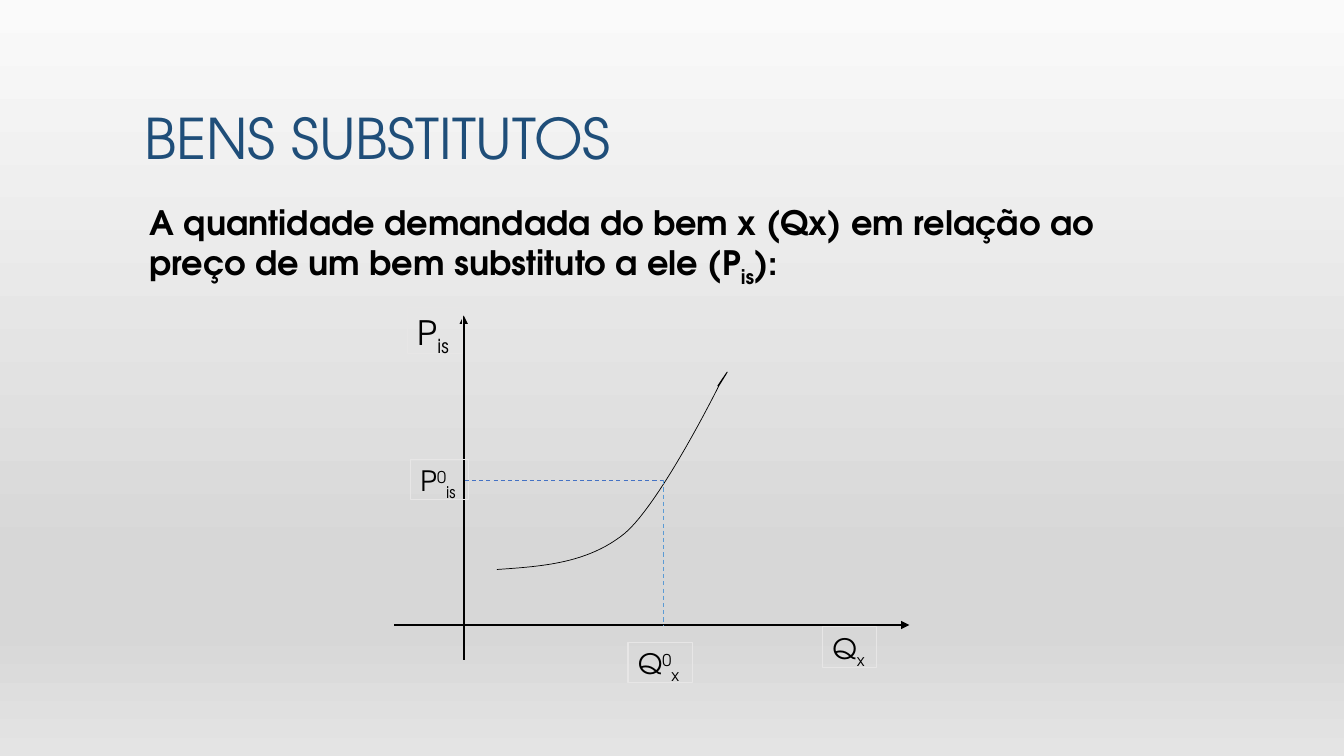
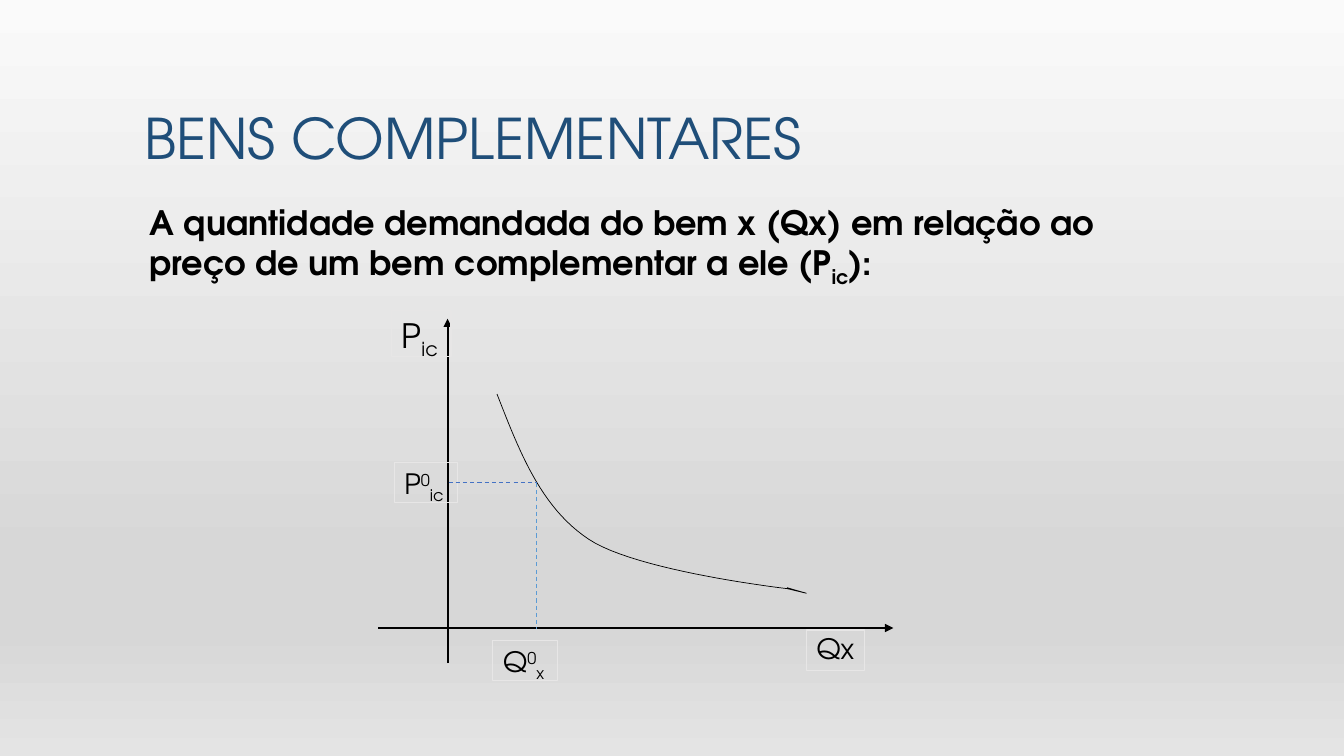
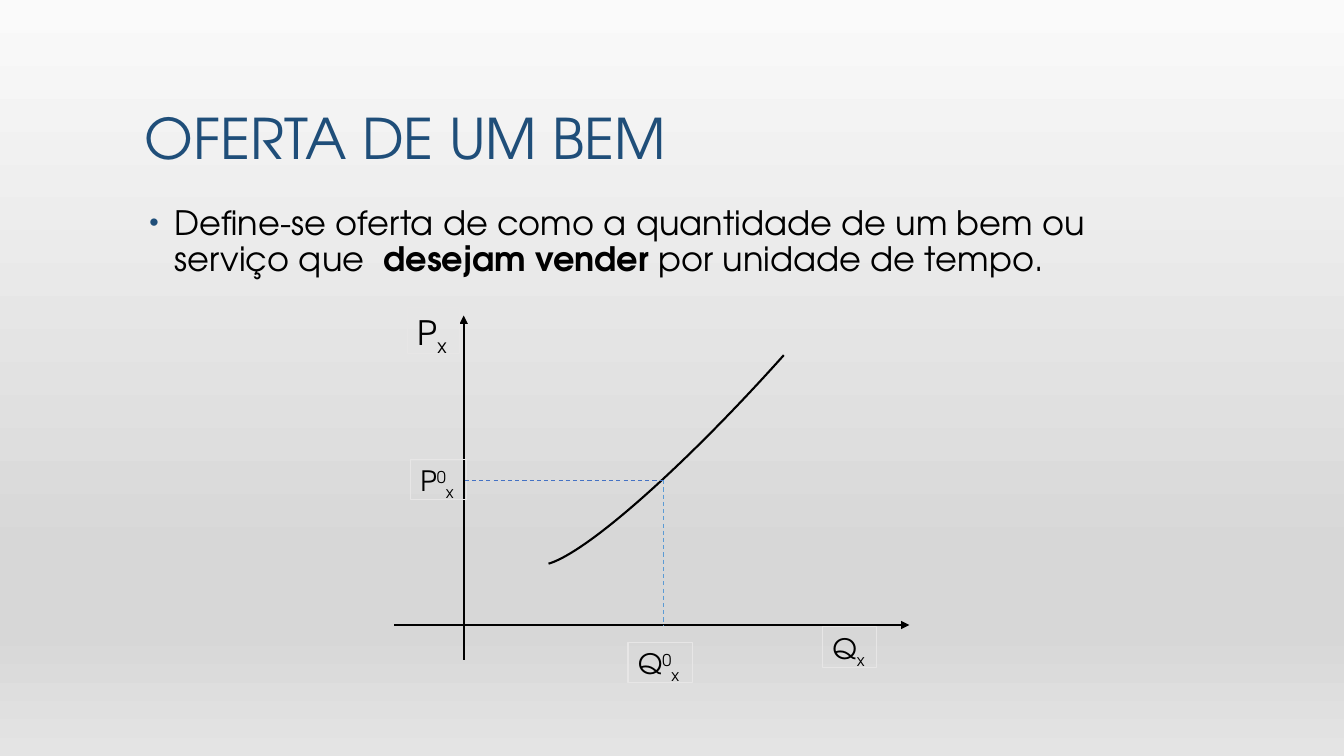
from dataclasses import dataclass
from typing import NamedTuple

from lxml.etree import SubElement
from pptx import Presentation
from pptx.dml.color import RGBColor
from pptx.enum.dml import MSO_LINE as Dash
from pptx.enum.shapes import MSO_CONNECTOR as Conn, MSO_SHAPE as Kind
from pptx.enum.text import MSO_ANCHOR as Anchor, MSO_AUTO_SIZE as Fit, PP_ALIGN as Align
from pptx.oxml.ns import qn
from pptx.util import Pt

FONT = "TeX Gyre Adventor"
INK = {
    "title": "1F4E79", "text": "000000", "frame": "E7E6E6",
    "price": "4472C4", "amount": "5B9BD5",
}
SKY = ((0, "FAFAFA"), (74, "D7D7D7"), (83, "D7D7D7"), (100, "E4E4E4"))
SUB, SUP = -25, 30
LEFT, WIDTH = 96, 768


class Bit(NamedTuple):
    """A run of text, with its baseline shift in percent."""
    text: str
    base: int = 0
    bold: bool = False


class Spot(NamedTuple):
    x: float
    y: float


class Tag(NamedTuple):
    """An axis label in a thin frame."""
    at: Spot
    width: float
    bits: list[Bit]
    size: int = 20


class Curve(NamedTuple):
    """A start and the cubic pieces (two handles, one end) that follow."""
    start: Spot
    cubics: list[tuple[Spot, Spot, Spot]]


class Arc(NamedTuple):
    at: Spot
    width: float
    height: float
    turn: float
    ends: tuple[float, float]


@dataclass
class Plot:
    zero: Spot           # where the axes cross
    mark: Spot           # the point the dashed lines lead to
    line: Curve | Arc
    sub: str             # index of the price
    wide: tuple[float, float, float]  # widths of the P, P0 and Q labels
    good: list[Bit]      # label of the quantity axis
    foot: Spot           # place of the Q0 label


@dataclass
class Page:
    title: str
    body: list[Bit]
    plot: Plot
    dot: bool = False


def ink(name: str) -> RGBColor:
    return RGBColor.from_string(INK[name])


def write(para, bits: list[Bit], size: int, hue: str = "text") -> None:
    para.line_spacing = 0.9
    for bit in bits:
        run = para.add_run()
        run.text = bit.text
        font = run.font
        font.name, font.size, font.bold = FONT, Pt(size), bit.bold
        font.color.rgb = ink(hue)
        if bit.base:
            font._element.set("baseline", str(bit.base * 1000))


def paint(master) -> None:
    """Give every slide the same grey background."""
    fill = master.background.fill
    fill.gradient()
    fill.gradient_angle = 270
    stops = master.element.find(".//" + qn("a:gsLst"))
    stops.clear()
    for pos, hue in SKY:
        stop = SubElement(stops, qn("a:gs"), pos=str(pos * 1000))
        SubElement(stop, qn("a:srgbClr"), val=hue)


def head(slide, text: str) -> None:
    title = slide.shapes.title
    title.left, title.top = Pt(LEFT), Pt(21.6)
    title.width, title.height = Pt(WIDTH), Pt(104.4)
    frame = title.text_frame
    frame.auto_size, frame.vertical_anchor = Fit.NONE, Anchor.BOTTOM
    para = frame.paragraphs[0]
    para.alignment = Align.LEFT
    write(para, [Bit(text)], 40, "title")


def lead(slide, bits: list[Bit], dot: bool) -> None:
    box = slide.shapes.add_textbox(Pt(LEFT), Pt(144), Pt(WIDTH), Pt(342))
    frame = box.text_frame
    frame.word_wrap = True
    para = frame.paragraphs[0]
    para.space_before = Pt(18)
    write(para, bits, 24)
    props = para._p.get_or_add_pPr()
    props.set("marL", str(Pt(21.6 if dot else 3.6)))
    props.set("indent", str(Pt(-18 if dot else 0)))
    if dot:
        tint = SubElement(props, qn("a:buClr"))
        SubElement(tint, qn("a:srgbClr"), val=INK["title"])
        SubElement(props, qn("a:buSzPct"), val="80000")
        SubElement(props, qn("a:buFont"), typeface="Arial")
        SubElement(props, qn("a:buChar"), char="•")


def rule(slide, a: Spot, b: Spot, hue: str, dash: bool = False) -> None:
    """Draw a dashed guide, or a solid axis with an arrowhead."""
    link = slide.shapes.add_connector(Conn.STRAIGHT, Pt(a.x), Pt(a.y), Pt(b.x), Pt(b.y))
    link.line.color.rgb = ink(hue)
    link.line.width = Pt(0.75 if dash else 1.5)
    if dash:
        link.line.dash_style = Dash.DASH
    else:
        SubElement(link.line._get_or_add_ln(), qn("a:tailEnd"), type="triangle")
    SubElement(link._element.spPr, qn("a:effectLst"))


def label(slide, tag: Tag) -> None:
    high = 33 if tag.size > 20 else 29
    box = slide.shapes.add_textbox(Pt(tag.at.x), Pt(tag.at.y), Pt(tag.width), Pt(high))
    box.line.color.rgb = ink("frame")
    box.line.width = Pt(0.75)
    frame = box.text_frame
    frame.word_wrap, frame.auto_size = False, Fit.SHAPE_TO_FIT_TEXT
    write(frame.paragraphs[0], tag.bits, tag.size)


def trace(curve: Curve, steps: int = 24) -> list[Spot]:
    """Points along the cubic pieces."""
    spots, a = [], curve.start
    for b, c, d in curve.cubics:
        for step in range(1, steps + 1):
            t = step / steps
            u = 1 - t
            mix = (u ** 3, 3 * u * u * t, 3 * u * t * t, t ** 3)
            spots.append(Spot(*(sum(m * v for m, v in zip(mix, axis))
                                for axis in zip(a, b, c, d))))
        a = d
    return spots


def bend(slide, line: Curve | Arc) -> None:
    if isinstance(line, Arc):
        shape = slide.shapes.add_shape(
            Kind.ARC, Pt(line.at.x), Pt(line.at.y), Pt(line.width), Pt(line.height))
        shape.rotation = line.turn
        shape.adjustments[0], shape.adjustments[1] = line.ends
        thick = 1.5
    else:
        pen = slide.shapes.build_freeform(Pt(line.start.x), Pt(line.start.y))
        pen.add_line_segments([(Pt(x), Pt(y)) for x, y in trace(line)], close=False)
        shape = pen.convert_to_shape()
        thick = 0.5
    shape.shadow.inherit = False
    shape.fill.background()
    shape.line.color.rgb = ink("text")
    shape.line.width = Pt(thick)


def chart(slide, plot: Plot) -> None:
    (x, y), mark = plot.zero, plot.mark
    # Axes
    rule(slide, Spot(x, y + 25), Spot(x, y - 221), "text")
    rule(slide, Spot(x - 49.6, y), Spot(x + 318.4, y), "text")
    bend(slide, plot.line)
    # Labels
    top, mid, end = plot.wide
    low = Bit(plot.sub, SUB)
    zero = Bit("0", SUP)
    for tag in (
        Tag(Spot(x - 40, y - 226.8), top, [Bit("P"), low], 24),
        Tag(Spot(x + 256.3, y + 1.4), end, plot.good),
        Tag(Spot(x - 38, y - 118.4), mid, [Bit("P"), zero, low]),
        Tag(plot.foot, 46.1, [Bit("Q"), zero, Bit("x", SUB)]),
    ):
        label(slide, tag)
    # Guides
    rule(slide, Spot(x + 0.7, mark.y), mark, "price", True)
    rule(slide, mark, Spot(mark.x, y + 1), "amount", True)


def demand(kind: str, sub: str) -> list[Bit]:
    text = f"A quantidade demandada do bem x (Qx) em relação ao preço de um bem {kind} a ele (P"
    return [Bit(text, bold=True), Bit(sub, SUB, True), Bit("):", bold=True)]


RISE = Curve(Spot(355, 406.8), [
    (Spot(387.4, 404.6), Spot(419.8, 402.5), Spot(446.4, 380.9)),
    (Spot(472.3, 358.6), Spot(513.4, 275.8), Spot(513.4, 275.8)),
    (Spot(524.2, 258.5), Spot(518.4, 267.1), Spot(512.6, 275.8)),
])
FALL = Curve(Spot(355, 281.5), [
    (Spot(370.8, 321.8), Spot(385.9, 362.2), Spot(420.5, 385.2)),
    (Spot(455, 408.2), Spot(562.3, 420.5), Spot(562.3, 420.5)),
    (Spot(586.1, 426.2), Spot(573.8, 423.4), Spot(562.3, 419.8)),
])
OFFER = Arc(Spot(305.3, 197.3), 458.6, 67.7, 131.8, (162, 214.79))

ZERO, MARK, FOOT = Spot(331.2, 446.4), Spot(473.8, 343), Spot(448.6, 458.6)
GOOD = [Bit("Q"), Bit("x", SUB)]

PAGES = [
    Page("BENS SUBSTITUTOS", demand("substituto", "is"),
         Plot(ZERO, MARK, RISE, "is", (38.9, 41.8, 38.9), GOOD, FOOT)),
    Page("BENS COMPLEMENTARES", demand("complementar", "ic"),
         Plot(Spot(319.7, 448.6), Spot(383.4, 344.9), FALL, "ic",
              (42.5, 45.4, 41.8), [Bit("Qx")], Spot(352.1, 457.2))),
    Page("OFERTA DE UM BEM",
         [Bit("Define-se oferta de como a quantidade de um bem ou serviço que "),
          Bit(" desejam vender ", bold=True), Bit("por unidade de tempo.")],
         Plot(ZERO, MARK, OFFER, "x", (36.7, 40.3, 38.9), GOOD, FOOT), dot=True),
]


def main() -> None:
    deck = Presentation()
    deck.slide_width, deck.slide_height = Pt(960), Pt(540)
    paint(deck.slide_master)
    for page in PAGES:
        slide = deck.slides.add_slide(deck.slide_layouts[5])
        head(slide, page.title)
        lead(slide, page.body, page.dot)
        chart(slide, page.plot)
    deck.save("out.pptx")


if __name__ == "__main__":
    main()
